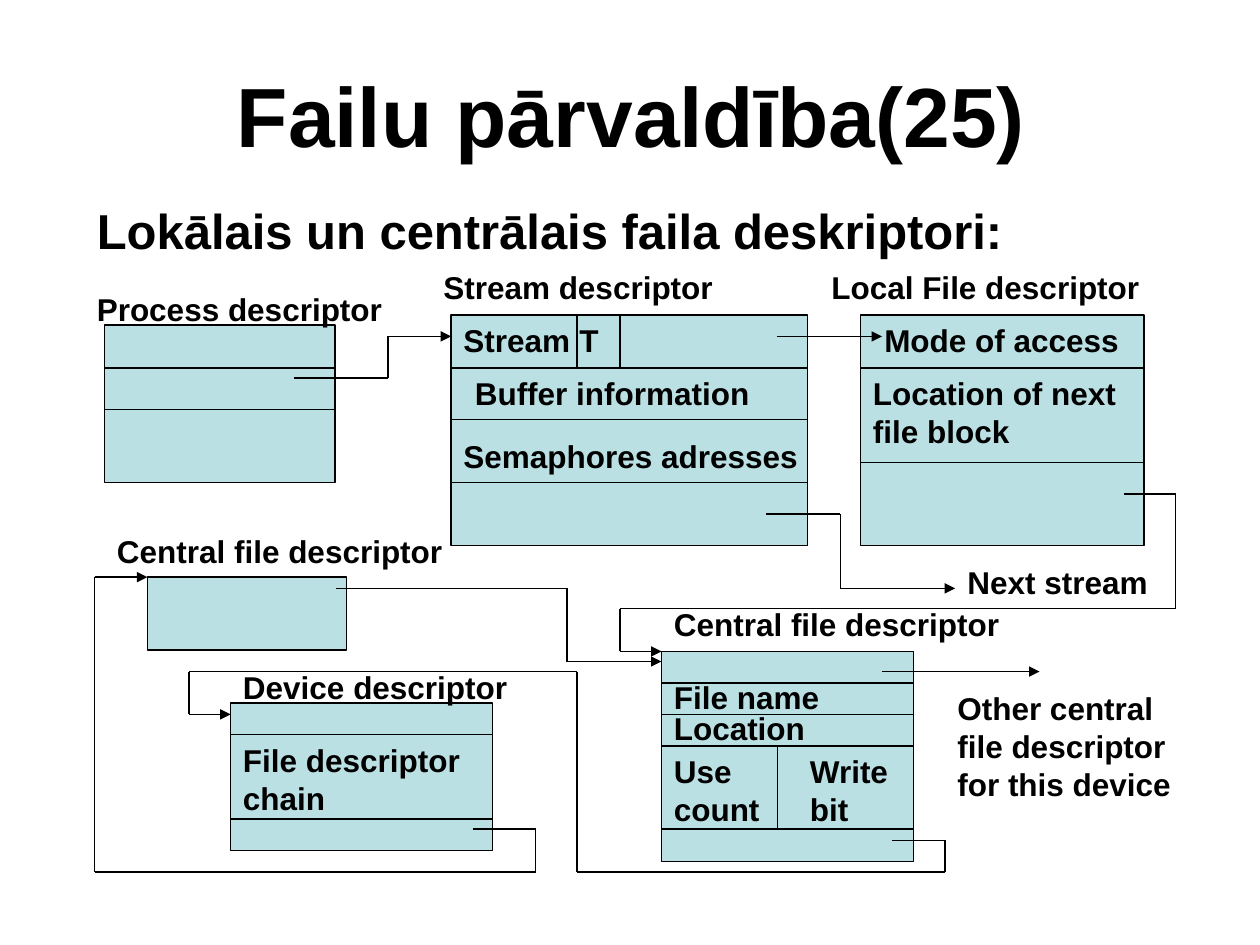
from collections import namedtuple
from itertools import pairwise

from lxml import etree
from pptx import Presentation
from pptx.dml.color import RGBColor
from pptx.enum.shapes import MSO_CONNECTOR, MSO_SHAPE
from pptx.enum.text import MSO_ANCHOR, PP_ALIGN
from pptx.oxml.ns import qn
from pptx.util import Inches, Pt

STRAIGHT = MSO_CONNECTOR.STRAIGHT
RECTANGLE = MSO_SHAPE.RECTANGLE
MIDDLE, TOP = MSO_ANCHOR.MIDDLE, MSO_ANCHOR.TOP
CENTER, LEFT = PP_ALIGN.CENTER, PP_ALIGN.LEFT
BLACK, PALE_BLUE = "000000", "BBE0E3"
TITLE_ONLY = 5

Box = namedtuple("Box", "left top width height")


def color(code):
    return RGBColor.from_string(code)


def write(shape, text, size=18, align=LEFT, anchor=TOP):
    frame = shape.text_frame
    frame.word_wrap = True
    frame.vertical_anchor = anchor
    frame.text = text
    para = frame.paragraphs[0]
    para.alignment = align
    para.font.name = "Arial"
    para.font.size = Pt(size)
    para.font.bold = True
    para.font.color.rgb = color(BLACK)


def add_label(page, box, text, size=18):
    write(page.shapes.add_textbox(*map(Inches, box)), text, size)


def add_line(page, start, end, arrow=False):
    line = page.shapes.add_connector(STRAIGHT, *map(Inches, (*start, *end)))
    line.line.color.rgb = color(BLACK)
    line.line.width = Pt(0.75)
    if arrow:
        outline = line.line._get_or_add_ln()
        etree.SubElement(outline, qn("a:tailEnd"), type="triangle")
    etree.SubElement(line._element.spPr, qn("a:effectLst"))


def add_route(page, *points):
    """Join the points with straight lines; the last one carries an arrowhead."""
    for start, end in pairwise(points):
        add_line(page, start, end, arrow=end == points[-1])


def add_title(page, box, text):
    title = page.shapes.title
    title.left, title.top, title.width, title.height = map(Inches, box)
    write(title, text, 48, CENTER, MIDDLE)


def add_descriptor(page, box, labels, rules=(), dividers=()):
    """Draw a record; labels, rules and dividers are offsets from its corner.

    A divider is an x offset with the y offsets of its two ends.
    """
    left, top, width, height = box
    frame = page.shapes.add_shape(RECTANGLE, *map(Inches, box))
    frame.shadow.inherit = False
    frame.fill.solid()
    frame.fill.fore_color.rgb = color(PALE_BLUE)
    frame.line.color.rgb = color(BLACK)
    frame.line.width = Pt(0.75)
    for y in rules:
        add_line(page, (left, top + y), (left + width, top + y))
    for x, upper, lower in dividers:
        add_line(page, (left + x, top + upper), (left + x, top + lower))
    for text, (x, y, label_width, label_height) in labels:
        add_label(page, Box(left + x, top + y, label_width, label_height), text)


def add_descriptors(page):
    add_descriptor(
        page, Box(0.83, 2.58, 1.83, 1.25),
        [("Process descriptor", Box(-0.16, -0.33, 2.67, 0.4))],
        rules=(0.34, 0.67))
    add_descriptor(
        page, Box(3.58, 2.5, 2.83, 1.83),
        [("Stream descriptor", Box(-0.16, -0.42, 3.17, 0.4)),
         ("Stream", Box(0, 0, 1.17, 0.4)),
         ("T", Box(0.92, 0, 0.42, 0.4)),
         ("Buffer information", Box(0.09, 0.42, 2.75, 0.4)),
         ("Semaphores adresses", Box(0, 0.92, 2.92, 0.4))],
        rules=(0.42, 0.83, 1.33),
        dividers=((1, 0, 0.42), (1.34, 0, 0.42)))
    add_descriptor(
        page, Box(6.83, 2.5, 2.25, 1.83),
        [("Local File descriptor", Box(-0.33, -0.42, 3.08, 0.4)),
         ("Mode of access", Box(0.09, 0, 2.33, 0.4)),
         ("Location of next file block", Box(0, 0.42, 2.25, 0.7))],
        rules=(0.42, 1.17))
    add_descriptor(
        page, Box(5.25, 5.17, 2, 1.67),
        [("Central file descriptor", Box(0, -0.42, 2.83, 0.4)),
         ("File name", Box(0, 0.16, 1.75, 0.4)),
         ("Location", Box(0, 0.41, 1.83, 0.4)),
         ("Use count", Box(0, 0.75, 1, 0.7)),
         ("Write bit", Box(1.08, 0.75, 0.83, 0.7))],
        rules=(0.25, 0.5, 0.75, 1.41),
        dividers=((0.92, 0.75, 1.41),))
    add_descriptor(
        page, Box(1.17, 4.58, 1.58, 0.58),
        [("Central file descriptor", Box(-0.34, -0.41, 3, 0.4))])
    add_descriptor(
        page, Box(1.83, 5.58, 2.08, 1.17),
        [("Device descriptor", Box(0, -0.33, 2.58, 0.4)),
         ("File descriptor chain", Box(0, 0.25, 2.08, 0.7))],
        rules=(0.25, 0.92))


def add_pointers(page):
    process_to_stream = (2.33, 3), (3.08, 3), (3.08, 2.67), (3.58, 2.67)
    stream_to_local = (6.17, 2.67), (7, 2.67)
    stream_to_next = (6.08, 4.08), (6.67, 4.08), (6.67, 4.67), (7.58, 4.67)
    local_to_central = ((8.92, 3.92), (9.33, 3.92), (9.33, 4.83),
                        (4.92, 4.83), (4.92, 5.17), (5.25, 5.17))
    central_to_central = (2.67, 4.67), (4.5, 4.67), (4.5, 5.25), (5.25, 5.25)
    central_to_other = (7, 5.33), (8.25, 5.33)
    device_to_central = ((3.75, 6.58), (4.25, 6.58), (4.25, 6.92),
                         (0.75, 6.92), (0.75, 4.58), (1.17, 4.58))
    central_to_device = ((7.08, 6.67), (7.5, 6.67), (7.5, 6.92), (4.58, 6.92),
                         (4.58, 5.33), (1.5, 5.33), (1.5, 5.67), (1.83, 5.67))
    for route in (process_to_stream, stream_to_local, stream_to_next,
                  local_to_central, central_to_central, central_to_other,
                  device_to_central, central_to_device):
        add_route(page, *route)
    add_label(page, Box(7.58, 4.42, 1.83, 0.4), "Next stream")
    add_label(page, Box(7.5, 5.42, 2, 1),
              "Other central file descriptor for this device")


def main():
    deck = Presentation()
    deck.slide_width, deck.slide_height = Inches(10), Inches(7.5)
    page = deck.slides.add_slide(deck.slide_layouts[TITLE_ONLY])
    add_title(page, Box(0.51, 0.28, 9, 1.25), "Failu pārvaldība(25)")
    add_label(page, Box(0.67, 1.54, 8.59, 0.55),
              "Lokālais un centrālais faila deskriptori:", 28)
    add_descriptors(page)
    add_pointers(page)
    deck.save("out.pptx")


if __name__ == "__main__":
    main()
